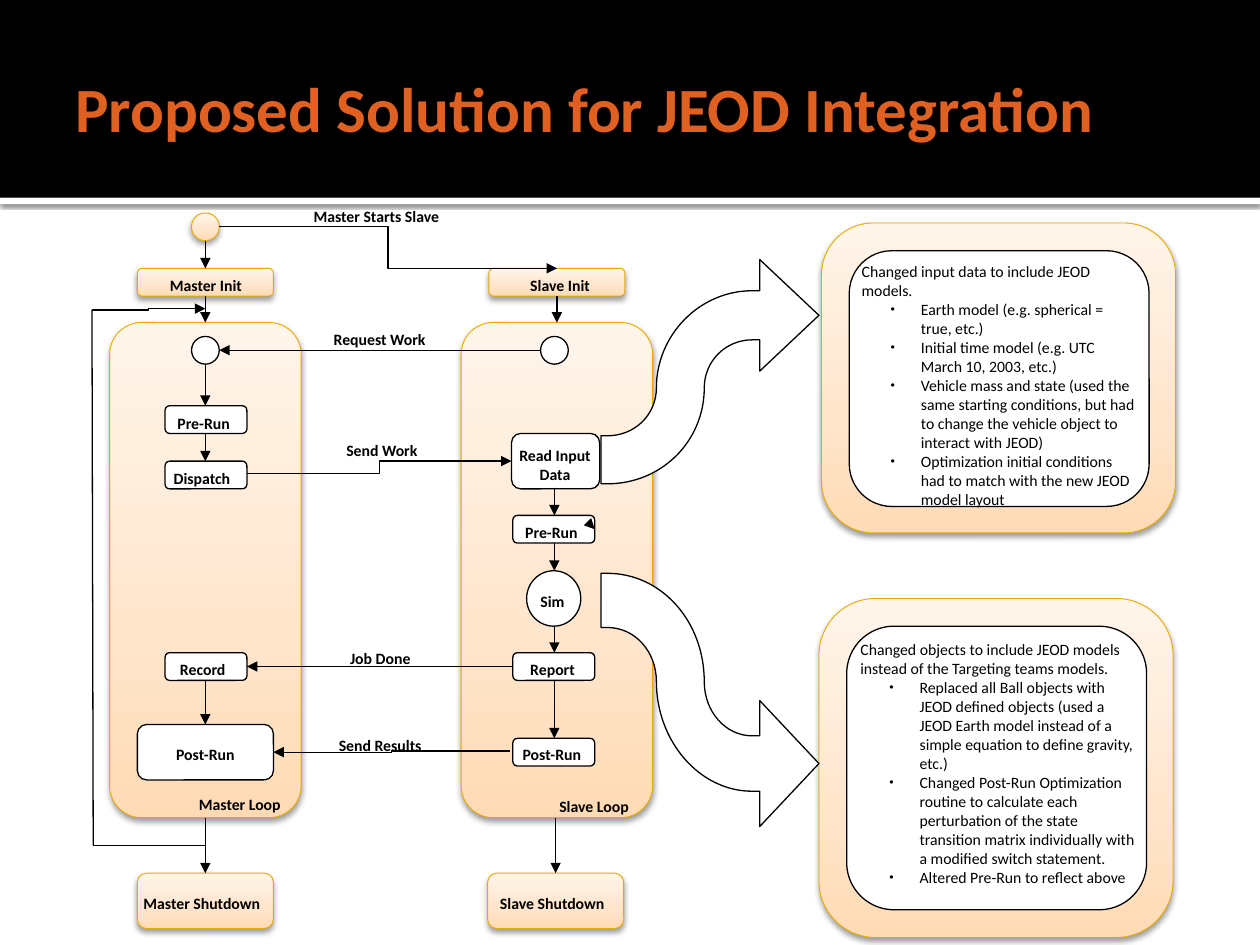
from dataclasses import dataclass

from lxml import etree
from pptx import Presentation
from pptx import util as u
from pptx.dml.color import RGBColor
from pptx.enum import shapes, text
from pptx.oxml import ns

PX = 9144  # EMU per px, 100 px to the inch
FONT = "Calibri"
COLORS = {"black": "000000", "white": "FFFFFF", "title": "DF6020", "edge": "EBA900"}
WARM_STOPS = {0: "FFDBB5", 35: "FFE5CB", 100: "FFF5EB"}
RECT = shapes.MSO_SHAPE.RECTANGLE
ROUND = shapes.MSO_SHAPE.ROUNDED_RECTANGLE
OVAL = shapes.MSO_SHAPE.OVAL
# Segments of the S-shaped block arrow: one point is a line, three are a curve.
SWOOSH = [
    ((120, 173),),
    ((78, 173), (44, 133), (44, 86)),
    ((44, 62), (27, 43), (5, 43)),
    ((0, 43),), ((0, 0),), ((5, 0),),
    ((48, 0), (82, 38), (82, 86)),
    ((82, 110), (99, 129), (120, 129)),
    ((126, 129),), ((126, 101),), ((173, 151),), ((126, 201),), ((126, 173),),
]
SWOOSH_LEFT, SWOOSH_HEIGHT = 477, 201


@dataclass(frozen=True)
class Node:
    left: int
    top: int
    width: int
    height: int
    kind: shapes.MSO_SHAPE = ROUND
    warm: bool = False


@dataclass(frozen=True)
class Label:
    words: str
    left: int
    top: int
    width: int = 108
    height: int = 22
    align: text.PP_ALIGN = text.PP_ALIGN.LEFT


@dataclass(frozen=True)
class Link:
    x1: int
    y1: int
    x2: int
    y2: int
    arrow: bool = True
    elbow: bool = True


@dataclass(frozen=True)
class Panel:
    outer: Node
    inner: Node
    text_left: int
    text_top: int
    text_height: int
    intro: str
    points: tuple[str, ...]


MASTER_X, SLAVE_X = 163, 440
NODES = [
    *(Node(left, 256, 152, 393, warm=True) for left in (87, 366)),
    *(Node(left, 213, 108, 22, warm=True) for left in (109, 388)),
    Node(152, 169, 22, 22, OVAL, warm=True),
    *(Node(131, top, 65, 22) for top in (322, 366, 518)),
    Node(406, 344, 70, 44),
    *(Node(407, top, 65, 22) for top in (409, 518, 586)),
    Node(418, 453, 43, 44, OVAL),
    Node(109, 575, 108, 44),
    *(Node(left, 267, 22, 22, OVAL) for left in (152, 429)),
    *(Node(left, 693, 108, 44, warm=True) for left in (109, 387)),
]

LINKS = [
    *(Link(MASTER_X, start, MASTER_X, end) for start, end in (
        (191, 213), (235, 256), (649, 693), (289, 322), (344, 366), (540, 575))),
    *(Link(SLAVE_X, start, SLAVE_X, end) for start, end in (
        (387, 409), (431, 453), (497, 518), (540, 586))),
    Link(442, 235, 442, 256),
    Link(441, 649, 441, 693),
    Link(174, 180, 442, 213),
    Link(163, 671, 74, 671, arrow=False, elbow=False),
    Link(74, 671, 73, 246, arrow=False, elbow=False),
    Link(73, 246, 163, 245),
    Link(429, 278, 174, 278),
    Link(196, 376, 406, 366),
    Link(407, 529, 196, 529),
    Link(405, 596, 217, 597),
    Link(471, 419, 472, 420, elbow=False),
]

LABELS = [
    Label("Master Starts Slave", 239, 158, 130),
    Label("Pre-Run", 131, 322, 65),
    Label("Dispatch", 128, 366, 87),
    Label("Read Input Data", 397, 348, 87, 44, text.PP_ALIGN.CENTER),
    Label("Pre-Run", 407, 409, 65),
    Label("Request Work", 255, 256),
    Label("Send Work", 265, 344, 87),
    Label("Sim", 419, 464, 43),
    Label("Report", 411, 518, 65),
    Label("Record", 133, 518, 65),
    Label("Post-Run", 130, 585, 87),
    Label("Post-Run", 405, 585, 87),
    Label("Master Init", 125, 213),
    Label("Slave Init", 411, 213),
    Label("Master Shutdown", 104, 703, 130),
    Label("Slave Shutdown", 387, 703, 130),
    Label("Job Done", 268, 509, 87),
    Label("Send Results", 259, 578),
    Label("Master Loop", 148, 625),
    Label("Slave Loop", 434, 626),
]

PANELS = [
    Panel(Node(650, 475, 281, 269, warm=True), Node(672, 497, 238, 225), 673, 502, 198,
          "Changed objects to include JEOD models instead of the Targeting teams models.",
          ("Replaced all Ball objects with JEOD defined objects (used a JEOD Earth model "
           "instead of a simple equation to define gravity, etc.)",
           "Changed Post-Run Optimization routine to calculate each perturbation of the "
           "state transition matrix individually with a modified switch statement.",
           "Altered Pre-Run to reflect above")),
    Panel(Node(652, 177, 281, 246, warm=True), Node(674, 199, 238, 203), 674, 202, 185,
          "Changed input data to include JEOD models.",
          ("Earth model (e.g. spherical = true, etc.)",
           "Initial time model (e.g. UTC March 10, 2003, etc.)",
           "Vehicle mass and state (used the same starting conditions, but had to change "
           "the vehicle object to interact with JEOD)",
           "Optimization initial conditions had to match with the new JEOD model layout")),
]


def rgb(name: str) -> RGBColor:
    return RGBColor.from_string(COLORS[name])


def add_child(parent, tag: str, **attributes):
    return etree.SubElement(parent, ns.qn(tag), {k: str(v) for k, v in attributes.items()})


def add_color(parent, value: str):
    return add_child(parent, "a:srgbClr", val=value)


def cast_shadow(shape, alpha: int, blur: float, distance: float) -> None:
    effects = shape.element.spPr.find(ns.qn("a:effectLst"))
    shadow = add_child(effects, "a:outerShdw", blurRad=u.Pt(blur), dist=u.Pt(distance),
                       dir=90 * 60000, rotWithShape=0)
    add_child(add_color(shadow, COLORS["black"]), "a:alpha", val=alpha * 1000)


def paint(shape, fill: str = "white", line: str | None = "black", width: float = 0.75) -> None:
    shape.shadow.inherit = False
    shape.fill.solid()
    shape.fill.fore_color.rgb = rgb(fill)
    if line is None:
        shape.line.fill.background()
    else:
        shape.line.color.rgb = rgb(line)
        shape.line.width = u.Pt(width)


def paint_warm(shape) -> None:
    """Apply the upward orange gradient with its gold edge and shadow."""
    paint(shape, line="edge", width=0.5)
    shape.fill.gradient()
    shape.fill.gradient_angle = 90
    stops = next(shape.element.spPr.iter(ns.qn("a:gsLst")))
    stops.clear()
    for position, value in WARM_STOPS.items():
        add_color(add_child(stops, "a:gs", pos=position * 1000), value)
    cast_shadow(shape, 38, 3.5, 2)


def add_node(page, node: Node):
    shape = page.shapes.add_shape(node.kind, node.left * PX, node.top * PX,
                                  node.width * PX, node.height * PX)
    if node.warm:
        paint_warm(shape)
    else:
        paint(shape)
    return shape


def add_link(page, link: Link) -> None:
    kind = shapes.MSO_CONNECTOR.ELBOW if link.elbow else shapes.MSO_CONNECTOR.STRAIGHT
    connector = page.shapes.add_connector(kind, link.x1 * PX, link.y1 * PX,
                                          link.x2 * PX, link.y2 * PX)
    connector.line.color.rgb = rgb("black")
    connector.line.width = u.Pt(0.75)
    if link.arrow:
        add_child(connector.element.spPr.find(ns.qn("a:ln")), "a:tailEnd", type="triangle")
    add_child(connector.element.spPr, "a:effectLst")


def add_box(page, left: int, top: int, width: int, height: int, margins=(10, 6, 10, 5)):
    frame = page.shapes.add_textbox(left * PX, top * PX, width * PX, height * PX).text_frame
    frame.word_wrap = True
    (frame.margin_left, frame.margin_top, frame.margin_right,
     frame.margin_bottom) = (margin * PX for margin in margins)
    return frame


def write(para, words: str, *, size: int = 9, color: str = "black", bold: bool = False,
          align: text.PP_ALIGN = text.PP_ALIGN.LEFT, bullet: bool = False) -> None:
    para.alignment = align
    span = para.add_run()
    span.text = words
    span.font.name, span.font.size, span.font.bold = FONT, u.Pt(size), bold
    span.font.color.rgb = rgb(color)
    if bullet:
        para.level = 1
        props = para._p.get_or_add_pPr()
        props.set("marL", str(47 * PX))
        props.set("indent", str(-24 * PX))
        add_child(props, "a:buSzPct", val=45000)
        add_child(props, "a:buFont", typeface=FONT)
        add_child(props, "a:buChar", char="●")


def add_swoosh(page, tail: int, height: int) -> None:
    """Draw the block arrow from y = tail; a negative height points it up."""
    top = tail + min(0, height)

    def place(point: tuple[int, int]) -> tuple[int, int]:
        x, y = point
        return x * PX, round((tail - top + y * height / SWOOSH_HEIGHT) * PX)

    corners = [place(segment[-1]) for segment in SWOOSH]
    builder = page.shapes.build_freeform(*corners[0], scale=1.0)
    builder.add_line_segments(corners[1:], close=True)
    shape = builder.convert_to_shape(SWOOSH_LEFT * PX, top * PX)
    outline = next(shape.element.spPr.iter(ns.qn("a:path")))
    for child in list(outline):
        outline.remove(child)
    for index, segment in enumerate(SWOOSH):
        tag = "a:cubicBezTo" if len(segment) == 3 else "a:lnTo" if index else "a:moveTo"
        step = add_child(outline, tag)
        for x, y in map(place, segment):
            add_child(step, "a:pt", x=x, y=y)
    add_child(outline, "a:close")
    paint(shape)


def add_panel_text(page, panel: Panel) -> None:
    frame = add_box(page, panel.text_left, panel.text_top, panel.inner.width, panel.text_height)
    write(frame.paragraphs[0], panel.intro)
    for point in panel.points:
        write(frame.add_paragraph(), point, bullet=True)


def main() -> None:
    deck = Presentation()
    deck.slide_width, deck.slide_height = 1000 * PX, 750 * PX
    page = deck.slides.add_slide(deck.slide_layouts[6])

    stripe = add_node(page, Node(0, 157, 1000, 5, RECT))
    paint(stripe, line=None)
    cast_shadow(stripe, 60, 2.5, 0.8)
    paint(add_node(page, Node(0, 0, 1000, 157, RECT)), fill="black", line=None)
    title = add_box(page, 50, 17, 900, 137, margins=(10, 5, 5, 5))
    title.vertical_anchor = text.MSO_ANCHOR.MIDDLE
    write(title.paragraphs[0], "Proposed Solution for JEOD Integration",
          size=36, color="title", bold=True)

    for node in NODES:
        add_node(page, node)
    for link in LINKS:
        add_link(page, link)
    for label in LABELS:
        frame = add_box(page, label.left, label.top, label.width, label.height)
        write(frame.paragraphs[0], label.words, bold=True, align=label.align)

    for panel, (tail, height) in zip(PANELS, ((455, 201), (384, -178))):
        add_node(page, panel.outer)
        add_swoosh(page, tail, height)
        add_node(page, panel.inner)
        add_panel_text(page, panel)

    deck.save("out.pptx")


if __name__ == "__main__":
    main()
